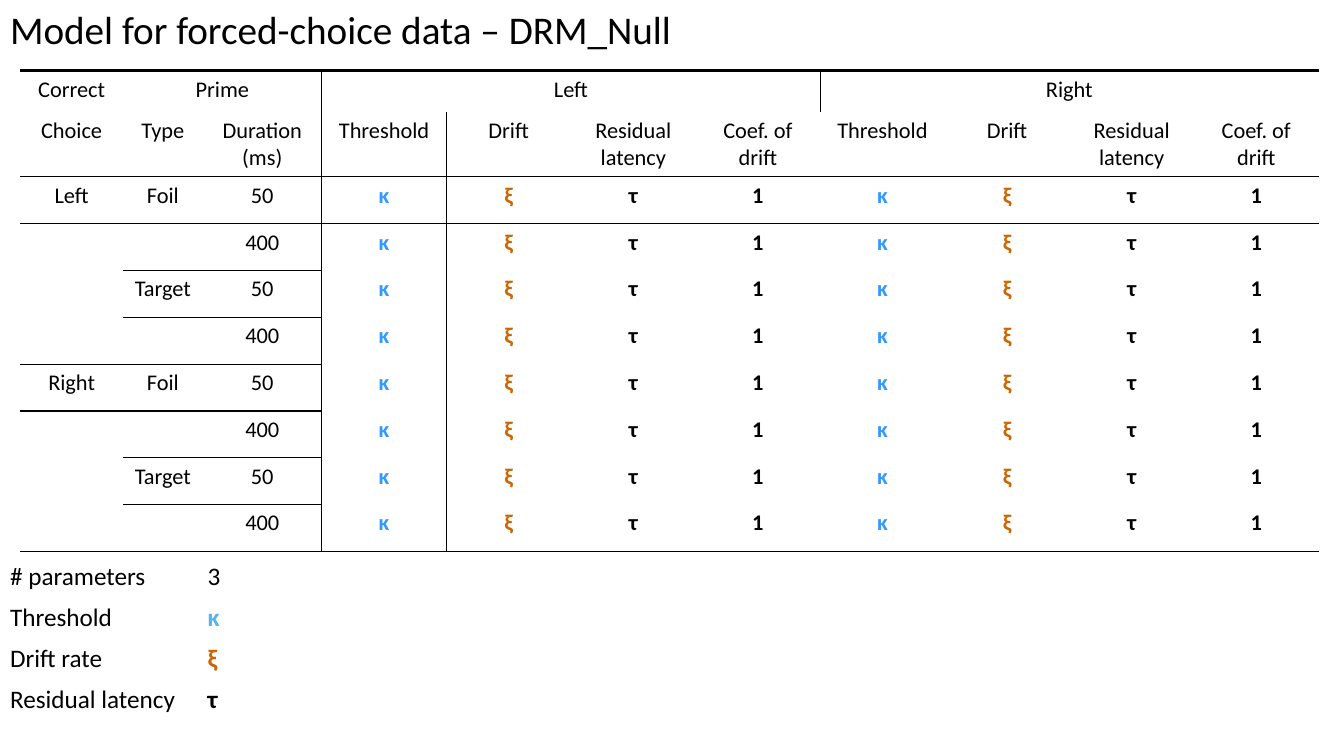
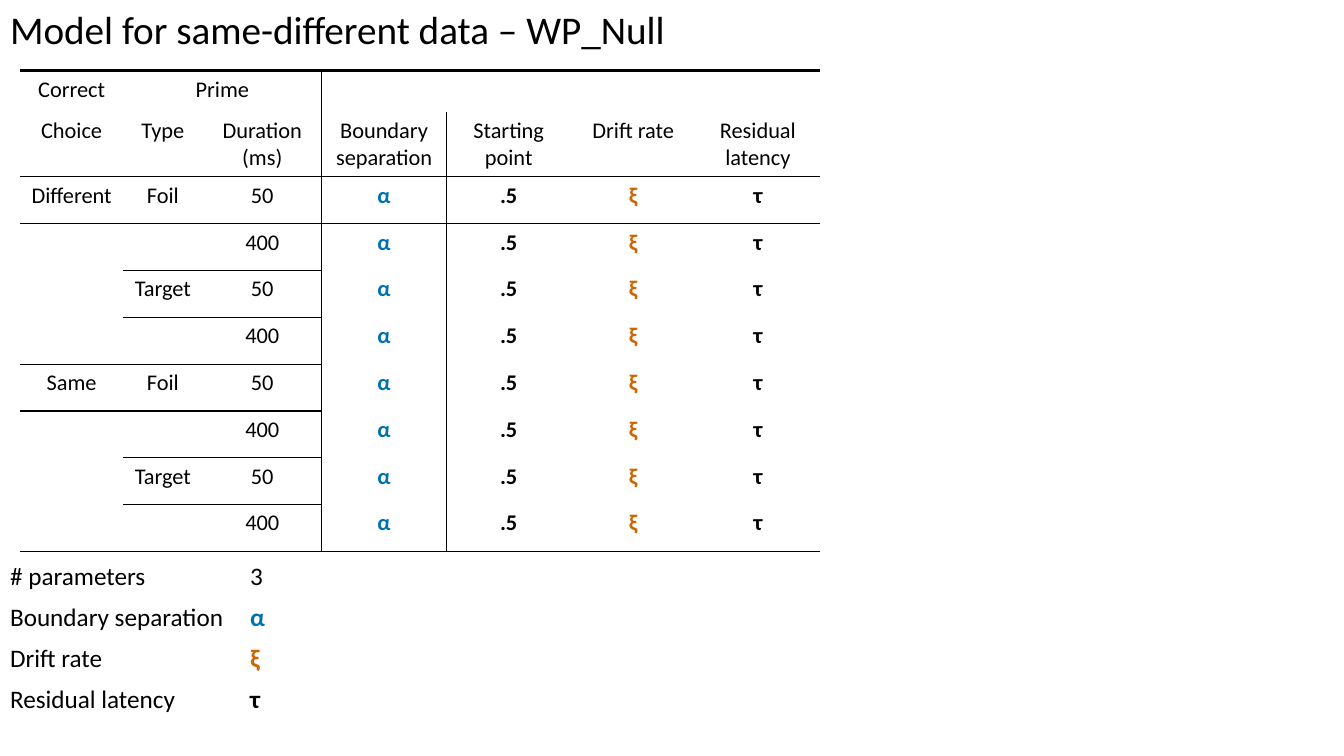
from itertools import product

from lxml.etree import SubElement
from pptx import Presentation
from pptx.dml.color import RGBColor
from pptx.enum.text import MSO_ANCHOR, MSO_AUTO_SIZE, PP_ALIGN
from pptx.oxml.ns import qn
from pptx.util import Cm, Pt

FONT = "Calibri"
BLACK = RGBColor(0x00, 0x00, 0x00)
WHITE = RGBColor(0xFF, 0xFF, 0xFF)
BRIGHT_BLUE = RGBColor(0x33, 0x99, 0xFF)
SKY_BLUE = RGBColor(0x56, 0xB4, 0xE9)
DEEP_BLUE = RGBColor(0x00, 0x72, 0xB2)
ORANGE = RGBColor(0xCC, 0x66, 0x00)
NO_STYLE = "{2D5ABB26-0587-4C30-8999-92F81FD0307C}"

LABEL_WIDTHS = [2.59, 2.01, 3.0]
PARAMETER_WIDTH = 3.14
ROW_HEIGHTS = [1.04, 1.63] + [1.18] * 8
LEGEND_ROW = 1.02
LEGEND_WIDTH = 33.58
THIN, THICK = 1, 2.25

DRIFT = ("ξ", ORANGE)
LATENCY = ("τ", BLACK)
MODELS = [
    {
        "title": "Model for forced-choice data – DRM_Null",
        "choices": ["Left", "Right"],
        "groups": ["Left", "Right"],
        "headings": ["Threshold", "Drift", "Residual latency", "Coef. of\ndrift"],
        "values": [("κ", BRIGHT_BLUE), DRIFT, LATENCY, ("1", BLACK)],
        "legend": [("Threshold", "κ", SKY_BLUE)],
        "legend_label_width": 4.98,
    },
    {
        "title": "Model for same-different data – WP_Null",
        "choices": ["Different", "Same"],
        "groups": [""],
        "headings": ["Boundary\nseparation", "Starting\npoint", "Drift rate", "Residual\nlatency"],
        "values": [("α", DEEP_BLUE), (".5", BLACK), DRIFT, LATENCY],
        "legend": [("Boundary separation", "α", DEEP_BLUE)],
        "legend_label_width": 6.05,
    },
]


def write(text_frame, text, size, color=BLACK, bold=False, align=PP_ALIGN.LEFT):
    """Put each line of the text in a paragraph of its own."""
    for index, line in enumerate(text.split("\n")):
        paragraph = text_frame.add_paragraph() if index else text_frame.paragraphs[0]
        paragraph.alignment = align
        run = paragraph.add_run()
        run.text = line
        run.font.name = FONT
        run.font.size = Pt(size)
        run.font.bold = bold
        run.font.color.rgb = color


def add_plain_table(slide, left, top, widths, heights):
    """Add a table with no style, sized in centimetres."""
    frame = slide.shapes.add_table(
        len(heights), len(widths), Cm(left), Cm(top), Cm(sum(widths)), Cm(sum(heights)))
    table = frame.table
    table.first_row = table.horz_banding = False
    table._tbl.tblPr.find(qn("a:tableStyleId")).text = NO_STYLE
    for column, width in zip(table.columns, widths):
        column.width = Cm(width)
    for row, height in zip(table.rows, heights):
        row.height = Cm(height)
    return table


presentation = Presentation()
presentation.slide_width = Cm(33.87)
presentation.slide_height = Cm(19.05)
title_only = presentation.slide_layouts[5]

for model in MODELS:
    slide = presentation.slides.add_slide(title_only)
    title = slide.shapes.title
    title.left, title.top, title.width, title.height = Cm(0), Cm(0), Cm(17.3), Cm(1.45)
    title.text_frame.word_wrap = False
    title.text_frame.auto_size = MSO_AUTO_SIZE.NONE
    title.text_frame.vertical_anchor = MSO_ANCHOR.TOP
    write(title.text_frame, model["title"], 28)

    # Wording of the parameter table
    groups, headings = model["groups"], model["headings"]
    label_count = len(LABEL_WIDTHS)
    contents = [["Correct", "Prime", ""], ["Choice", "Type", "Duration (ms)"] + headings * len(groups)]
    for group in groups:
        contents[0] += [group] + [""] * (len(headings) - 1)
    for index, (choice, prime, duration) in enumerate(
            product(model["choices"], ["Foil", "Target"], ["50", "400"])):
        contents.append([choice if index % 4 == 0 else "", prime if index % 2 == 0 else "", duration]
                        + model["values"] * len(groups))

    widths = LABEL_WIDTHS + [PARAMETER_WIDTH] * len(headings) * len(groups)
    table = add_plain_table(slide, 0.51, 1.78, widths, ROW_HEIGHTS)
    table.cell(0, 1).merge(table.cell(0, 2))
    for start in range(label_count, len(widths), len(headings)):
        table.cell(0, start).merge(table.cell(0, start + len(headings) - 1))

    # Columns crossed by the rule below each row
    every_column = range(len(widths))
    ruled = {1: every_column, len(contents) - 1: every_column, 5: range(3)}
    ruled |= {row: range(1, 3) for row in (3, 7)}
    ruled |= {row: range(2, 3) for row in (2, 4, 6, 8)}

    for row, entries in enumerate(contents):
        for column, entry in enumerate(entries):
            cell = table.cell(row, column)
            cell.fill.background()
            is_value = isinstance(entry, tuple)
            text, color = entry if is_value else (entry, BLACK)
            if text:
                write(cell.text_frame, text, 16, color, is_value, PP_ALIGN.CENTER)
            edges = {
                "a:lnL": THIN if column == label_count else 0,
                "a:lnR": THIN if column == label_count - 1 else 0,
                "a:lnT": THICK if row == 0 else THIN if column in ruled.get(row - 1, ()) else 0,
                "a:lnB": THIN if column in ruled.get(row, ()) else 0,
            }
            properties = cell._tc.get_or_add_tcPr()
            for position, (tag, weight) in enumerate((t, w) for t, w in edges.items() if w):
                line = SubElement(properties, qn(tag), w=str(Pt(weight)))
                color_fill = SubElement(line, qn("a:solidFill"))
                SubElement(color_fill, qn("a:srgbClr"), val=str(BLACK))
                properties.insert(position, line)

    legend = [("# parameters", "3", BLACK)] + model["legend"]
    legend += [("Drift rate", *DRIFT), ("Residual latency", *LATENCY)]
    label_width = model["legend_label_width"]
    table = add_plain_table(slide, 0, 14.02, [label_width, LEGEND_WIDTH - label_width],
                            [LEGEND_ROW] * len(legend))
    for row, (label, symbol, color) in enumerate(legend):
        write(table.cell(row, 0).text_frame, label, 18)
        write(table.cell(row, 1).text_frame, symbol, 18, color, bold=row > 0)
        for cell in table.rows[row].cells:
            cell.fill.solid()
            cell.fill.fore_color.rgb = WHITE

presentation.save("out.pptx")
